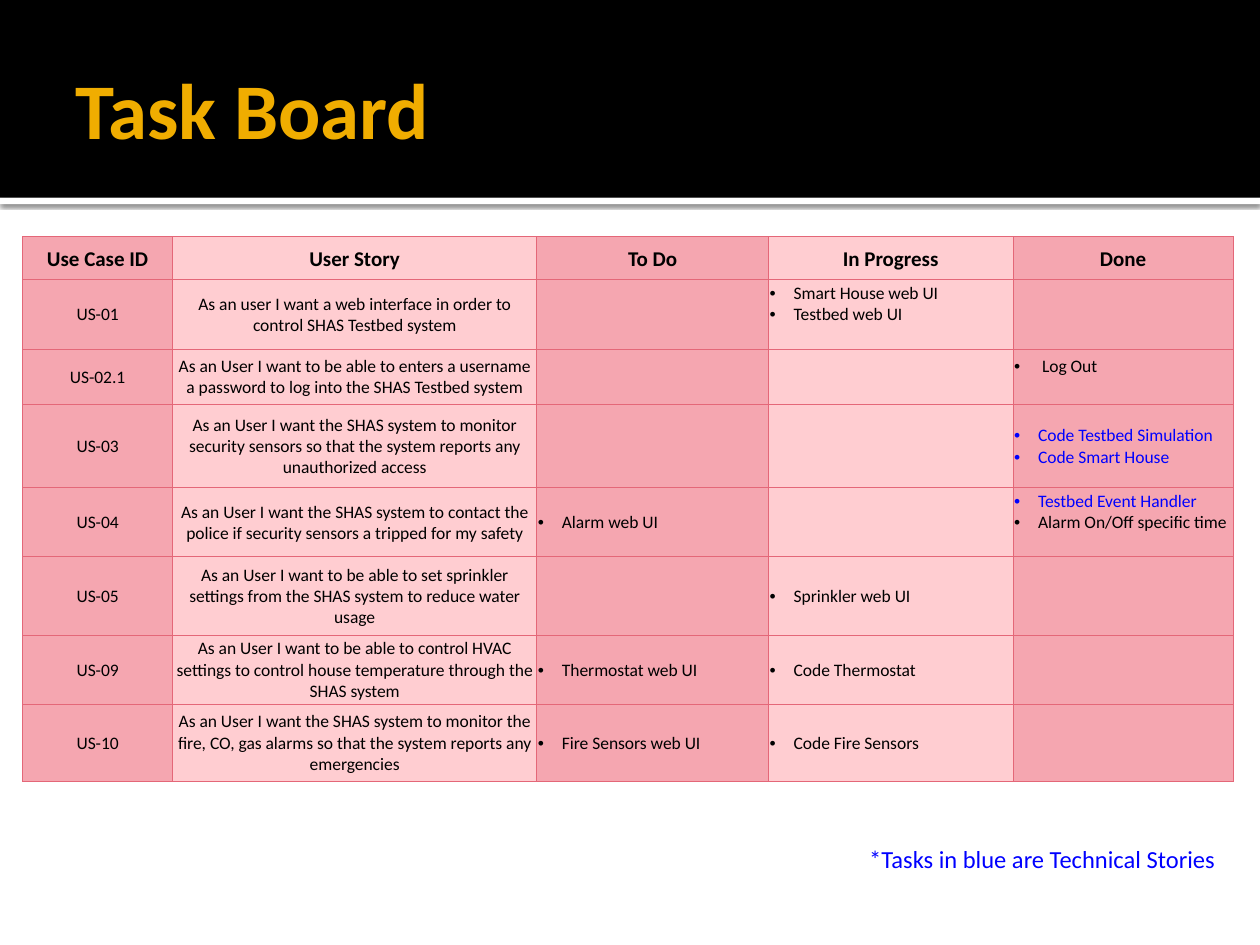
from pptx import Presentation
from pptx.dml.color import RGBColor
from pptx.enum.shapes import MSO_SHAPE
from pptx.enum.text import MSO_ANCHOR, PP_ALIGN
from pptx.oxml import parse_xml
from pptx.oxml.ns import nsdecls
from pptx.util import Inches, Pt

INK, BLUE, GOLD = "000000", "0000FF", "F0AD00"
ROSE, PINK, EDGE = "F5A6B0", "FFCDD1", "E46778"
COLS = [1.19, 2.89, 1.84, 1.94, 1.75]
ROWS = [0.34, 0.55, 0.44, 0.66, 0.55, 0.62, 0.55, 0.61]
HEADS = ["Use Case ID", "User Story", "To Do", "In Progress", "Done"]
# Each story: id, text, then tasks by state; "*" marks a technical task
TASKS = [
    ("US-01", "As an user I want a web interface in order to control SHAS Testbed system",
     [], ["Smart House web UI", "Testbed web UI"], []),
    ("US-02.1", "As an User I want to be able to enters a username a password "
     "to log into the SHAS Testbed system", [], [], ["\u00a0Log Out"]),
    ("US-03", "As an User I want the SHAS system to monitor security sensors "
     "so that the system reports any unauthorized access",
     [], [], ["*Code Testbed Simulation", "*Code Smart House"]),
    ("US-04", "As an User I want the SHAS system to contact the police "
     "if security sensors a tripped for my safety",
     ["Alarm web UI"], [], ["*Testbed Event Handler", "Alarm On/Off specific time"]),
    ("US-05", "As an User I want to be able to set sprinkler settings "
     "from the SHAS system to reduce water usage", [], ["Sprinkler web UI"], []),
    ("US-09", "As an User I want to be able to control HVAC settings "
     "to control house temperature through the SHAS system",
     ["Thermostat web UI"], ["Code Thermostat"], []),
    ("US-10", "As an User I want the SHAS system to monitor the fire, CO, gas alarms "
     "so that the system reports any emergencies",
     ["Fire Sensors web UI"], ["Code Fire Sensors"], []),
]
RAISED = {(1, 3), (2, 4), (4, 4)}  # cells whose tasks sit half a line higher


def paint(color, tone):
    color.rgb = RGBColor.from_string(tone)


def style(para, size, tone, bold=False):
    font = para.font
    for font in [para.font] + [run.font for run in para.runs]:
        font.name, font.size, font.bold = "Calibri", Pt(size), bold
        paint(font.color, tone)


def band(slide, box, tone):
    bar = slide.shapes.add_shape(MSO_SHAPE.RECTANGLE, *map(Inches, box))
    bar.shadow.inherit = False
    bar.fill.solid()
    paint(bar.fill.fore_color, tone)
    bar.line.fill.background()
    return bar


def header(slide, box):
    left, top, width, height = box
    # White rule with a soft shadow, then the black band
    rule = band(slide, (left, top + height, width, 0.05), "FFFFFF")
    effects = rule.element.spPr.find("{*}effectLst")
    effects.append(parse_xml(
        f'<a:outerShdw {nsdecls("a")} blurRad="{Pt(2.5)}" dist="{Pt(0.8)}" dir="5400000">'
        '<a:srgbClr val="000000"><a:alpha val="60000"/></a:srgbClr></a:outerShdw>'))
    band(slide, box, INK)
    # Title, brought in front of the band
    title = slide.shapes.title
    title.left, title.top = Inches(left + 0.05 * width), Inches(top + 0.17)
    title.width, title.height = Inches(0.9 * width), Inches(height - 0.2)
    frame = title.text_frame
    frame.text = "Task Board"
    frame.vertical_anchor = MSO_ANCHOR.MIDDLE
    frame.margin_left = Inches(0.1)
    frame.margin_right = frame.margin_top = frame.margin_bottom = Inches(0.05)
    frame.paragraphs[0].alignment = PP_ALIGN.LEFT
    style(frame.paragraphs[0], 45, GOLD, True)
    slide.shapes.element.append(title.element)


def bullet(para):
    props = para._p.get_or_add_pPr()
    props.set("marL", str(Inches(0.19)))
    props.set("indent", str(Inches(-0.19)))
    props.append(parse_xml(f'<a:buFont {nsdecls("a")} typeface="Arial"/>'))
    props.append(parse_xml(f'<a:buChar {nsdecls("a")} char="\u2022"/>'))


def dress(cell, tone, raised):
    cell.vertical_anchor = MSO_ANCHOR.MIDDLE
    cell.margin_left = cell.margin_right = cell.margin_top = Inches(0.01)
    cell.margin_bottom = Inches(0.17 if raised else 0)
    props = cell._tc.get_or_add_tcPr()
    for side in "LRTB":
        props.append(parse_xml(
            f'<a:ln{side} {nsdecls("a")} w="{Pt(0.5)}"><a:solidFill>'
            f'<a:srgbClr val="{EDGE}"/></a:solidFill></a:ln{side}>'))
    cell.fill.solid()
    paint(cell.fill.fore_color, tone)


def write(cell, item, head):
    tasks = isinstance(item, list)
    lines = item if tasks else [item]
    cell.text_frame.text = "\n".join(line.lstrip("*") for line in lines)
    for para, line in zip(cell.text_frame.paragraphs, lines or [""]):
        if tasks and line:
            bullet(para)
        elif not tasks:
            para.alignment = PP_ALIGN.CENTER
        style(para, 12 if head else 10, BLUE if line.startswith("*") else INK, head)


def board(slide, left, top):
    box = (left, top, sum(COLS), sum(ROWS))
    table = slide.shapes.add_table(len(ROWS), len(COLS), *map(Inches, box)).table
    table.first_row = table.horz_banding = False
    for col, width in zip(table.columns, COLS):
        col.width = Inches(width)
    for row, height in zip(table.rows, ROWS):
        row.height = Inches(height)
    for r, items in enumerate([HEADS] + TASKS):
        for c, item in enumerate(items):
            cell = table.cell(r, c)
            dress(cell, PINK if c % 2 else ROSE, (r, c) in RAISED)
            write(cell, item, r == 0)


def legend(slide, box):
    frame = slide.shapes.add_textbox(*map(Inches, box)).text_frame
    frame.word_wrap = True
    frame.text = "*Tasks in blue are Technical Stories"
    style(frame.paragraphs[0], 14, BLUE)


deck = Presentation()
deck.slide_width, deck.slide_height = Inches(10), Inches(7.5)
page = deck.slides.add_slide(deck.slide_layouts[5])
header(page, (0, 0, 10, 1.57))
board(page, 0.18, 1.88)
legend(page, (6.8, 6.65, 3, 0.34))
deck.save("out.pptx")
